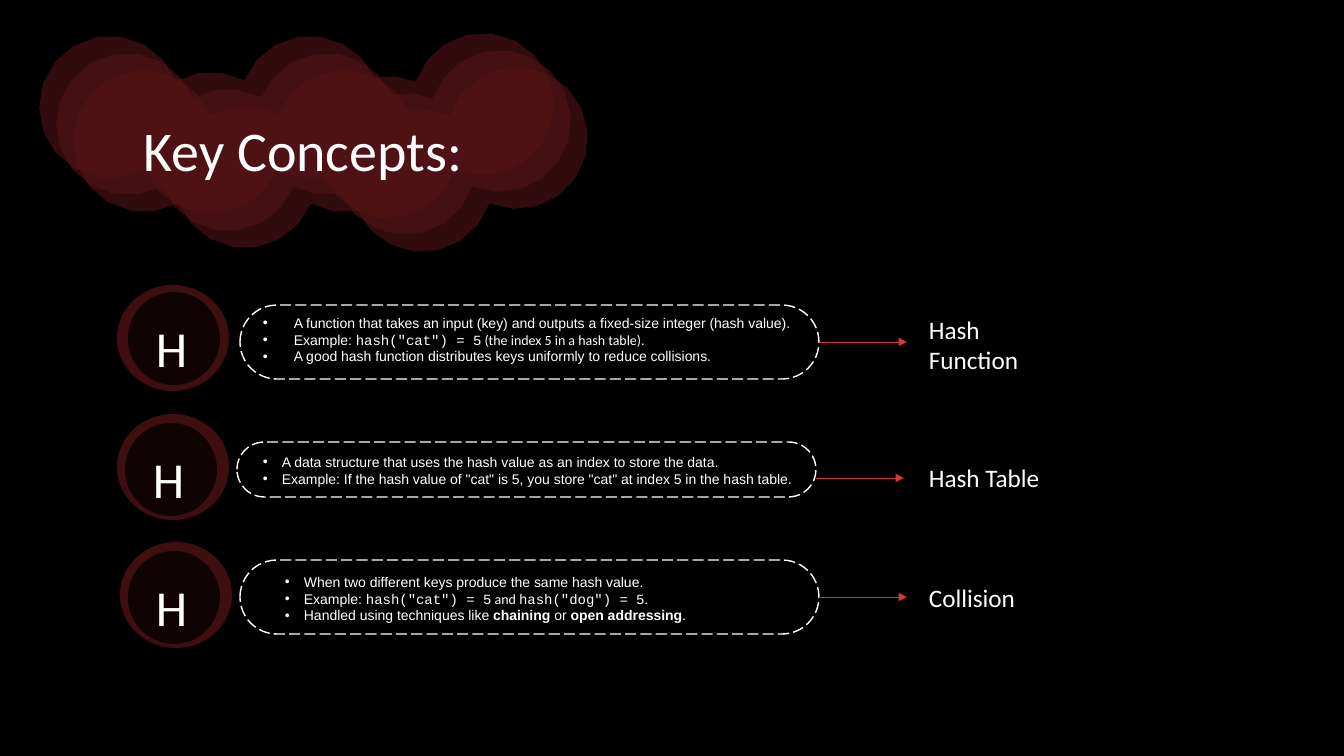
import math

import lxml.etree
import pptx
import pptx.dml.color
import pptx.enum.dml
import pptx.enum.shapes
import pptx.enum.text
import pptx.oxml.ns
import pptx.util

# Content: each bullet is a list of (text, style) runs
TITLE = "Key Concepts:"
CONCEPTS = [
    {
        "label": "Hash Function", "letter": "H",
        "ring": (117, 285), "disc": (128, 292),
        "pill": (240, 305, 579, 74), "bullets_box": (253, 309, 552, 61), "indent": 31,
        "arrow_y": 342, "label_box": (919, 309, 152, 71),
        "bullets": [
            [("A function that takes an input (key) and outputs a fixed-size integer (hash value).", "plain")],
            [("Example: ", "plain"), ('hash("cat") = 5', "code"), (" (the index 5 in a hash table).", "note")],
            [("A good hash function distributes keys uniformly to reduce collisions.", "plain")],
        ],
    },
    {
        "label": "Hash Table", "letter": "H",
        "ring": (117, 414), "disc": (125, 423),
        "pill": (237, 442, 579, 55), "bullets_box": (253, 448, 556, 44), "indent": 19,
        "arrow_y": 478, "label_box": (919, 457, 152, 40),
        "bullets": [
            [("A data structure that uses the hash value as an index to store the data.", "plain")],
            [('Example: If the hash value of "cat" is 5, you store "cat" at index 5 in the hash table.', "plain")],
        ],
    },
    {
        "label": "Collision", "letter": "H",
        "ring": (120, 542), "disc": (128, 551),
        "pill": (240, 560, 579, 74), "bullets_box": (275, 568, 428, 61), "indent": 19,
        "arrow_y": 597, "label_box": (919, 577, 152, 40),
        "bullets": [
            [("When two different keys produce the same hash value.", "plain")],
            [("Example: ", "plain"), ('hash("cat") = 5', "code"), (" and ", "note"),
             ('hash("dog") = 5', "code"), (".", "note")],
            [("Handled using techniques like ", "plain"), ("chaining", "strong"), (" or ", "plain"),
             ("open addressing", "strong"), (".", "plain")],
        ],
    },
]
COLORS = {"background": "000000", "wine": "551418", "disc": "000000", "text": "FFFFFF", "arrow": "D3383C"}
STYLE_FONTS = {"plain": "Arial", "strong": "Arial", "code": "Courier New", "note": "Calibri"}

# Cloud: overlapping puffs of one radius, repeated in shifted layers
PUFFS = [(110, 107), (211, 143), (310, 107), (388, 147), (483, 104)]
PUFF_RADIUS = 71
CLOUD_LAYERS, CLOUD_SHIFT, ARC_STEP = 3, 17, math.radians(20)

RING_SIZE, DISC_SIZE, LETTER_SIZE = (112, 106), (92, 93), (47, 71)
LETTER_OFFSET = (18, 20)
ARROW_LENGTH = 88
EMU_PER_PX = 914400 / 100.8
SHAPES = pptx.enum.shapes.MSO_SHAPE


def px(*lengths):
    return [pptx.util.Emu(round(length * EMU_PER_PX)) for length in lengths]


def rgb(name):
    return pptx.dml.color.RGBColor.from_string(COLORS[name])


def add_xml(parent, tag, **attributes):
    return lxml.etree.SubElement(parent, pptx.oxml.ns.qn(tag), attributes)


def paint(shape, color, opacity):
    shape.shadow.inherit = False
    shape.line.fill.background()
    shape.fill.solid()
    shape.fill.fore_color.rgb = rgb(color)
    fill_color = shape._element.spPr.find(".//" + pptx.oxml.ns.qn("a:srgbClr"))
    add_xml(fill_color, "a:alpha", val=str(opacity * 1000))


def set_font(paragraph, size, name=None):
    paragraph.font.size = pptx.util.Pt(size)
    paragraph.font.color.rgb = rgb("text")
    if name:
        paragraph.font.name = name


def add_text_frame(box, wrap=True):
    frame = slide.shapes.add_textbox(*px(*box)).text_frame
    frame.word_wrap = wrap
    frame.auto_size = pptx.enum.text.MSO_AUTO_SIZE.SHAPE_TO_FIT_TEXT
    return frame


def add_line_of_text(box, text, size):
    paragraph = add_text_frame(box).paragraphs[0]
    paragraph.add_run().text = text
    set_font(paragraph, size, "Calibri")


def add_bullets(box, bullets, indent):
    frame = add_text_frame(box, wrap=False)
    frame.vertical_anchor = pptx.enum.text.MSO_ANCHOR.MIDDLE
    for number, runs in enumerate(bullets):
        paragraph = frame.add_paragraph() if number else frame.paragraphs[0]
        properties = paragraph._p.get_or_add_pPr()
        margin = px(indent)[0]
        properties.set("marL", str(margin))
        properties.set("indent", str(-margin))
        add_xml(properties, "a:buFont", typeface="Arial")
        add_xml(properties, "a:buChar", char="•")
        fonts = {STYLE_FONTS[style] for _, style in runs}
        same_font = len(fonts) == 1
        set_font(paragraph, 10, STYLE_FONTS[runs[0][1]] if same_font else None)
        for text, style in runs:
            run = paragraph.add_run()
            run.text = text
            if not same_font:
                run.font.name = STYLE_FONTS[style]
            if style == "strong":
                run.font.bold = True


def junction(here, there):
    """Crossing of two puffs that lies on the left when going from here to there."""
    (x1, y1), (x2, y2) = here, there
    distance = math.dist(here, there)
    reach = math.sqrt(PUFF_RADIUS ** 2 - distance ** 2 / 4) / distance
    return (x1 + x2) / 2 + (y2 - y1) * reach, (y1 + y2) / 2 - (x2 - x1) * reach


def cloud_outline():
    """Clockwise arcs: over the puffs to the right end, then under them back."""
    route = PUFFS + PUFFS[-2:0:-1]
    outline = []
    for stop, (cx, cy) in enumerate(route):
        entry = junction(route[stop - 1], (cx, cy))
        leave = junction((cx, cy), route[(stop + 1) % len(route)])
        start = math.atan2(entry[1] - cy, entry[0] - cx)
        sweep = (math.atan2(leave[1] - cy, leave[0] - cx) - start) % math.tau
        steps = math.ceil(sweep / ARC_STEP)
        for step in range(steps):
            angle = start + sweep * step / steps
            outline.append((cx + PUFF_RADIUS * math.cos(angle), cy + PUFF_RADIUS * math.sin(angle)))
    return outline


def add_arrow(pill, pill_box, y):
    left, top, width, height = pill_box
    start = left + width
    arrow = slide.shapes.add_connector(
        pptx.enum.shapes.MSO_CONNECTOR.STRAIGHT, *px(start, y, start + ARROW_LENGTH, y))
    if y == top + height / 2:
        arrow.begin_connect(pill, 3)
    arrow.line.color.rgb = rgb("arrow")
    arrow.line.width = pptx.util.Pt(0.5)
    add_xml(arrow.line._get_or_add_ln(), "a:tailEnd", type="triangle")
    add_xml(arrow._element.spPr, "a:effectLst")


# Slide
deck = pptx.Presentation()
deck.slide_width, deck.slide_height = px(1344, 756)
slide = deck.slides.add_slide(deck.slide_layouts[6])
slide.background.fill.solid()
slide.background.fill.fore_color.rgb = rgb("background")

# Title on its cloud
for layer in range(CLOUD_LAYERS):
    shift = layer * CLOUD_SHIFT
    points = [px(x + shift, y + shift) for x, y in cloud_outline()]
    builder = slide.shapes.build_freeform(*points[0])
    builder.add_line_segments(points[1:], close=True)
    paint(builder.convert_to_shape(), "wine", 58)
add_line_of_text((134, 111, 392, 78), TITLE, 40)

# One row per concept
for concept in CONCEPTS:
    # Badge
    ring = slide.shapes.add_shape(SHAPES.OVAL, *px(*concept["ring"], *RING_SIZE))
    paint(ring, "wine", 74)
    disc = slide.shapes.add_shape(SHAPES.OVAL, *px(*concept["disc"], *DISC_SIZE))
    paint(disc, "disc", 74)
    letter_at = [start + offset for start, offset in zip(concept["disc"], LETTER_OFFSET)]
    add_line_of_text((*letter_at, *LETTER_SIZE), concept["letter"], 36)

    # Dashed pill with the explanation
    pill = slide.shapes.add_shape(SHAPES.ROUNDED_RECTANGLE, *px(*concept["pill"]))
    pill.adjustments[0] = 0.5
    pill.shadow.inherit = False
    pill.fill.background()
    pill.line.color.rgb = rgb("text")
    pill.line.width = pptx.util.Pt(1)
    pill.line.dash_style = pptx.enum.dml.MSO_LINE.LONG_DASH
    add_bullets(concept["bullets_box"], concept["bullets"], concept["indent"])

    # Arrow to the concept name
    add_arrow(pill, concept["pill"], concept["arrow_y"])
    add_line_of_text(concept["label_box"], concept["label"], 18)

deck.save("out.pptx")
